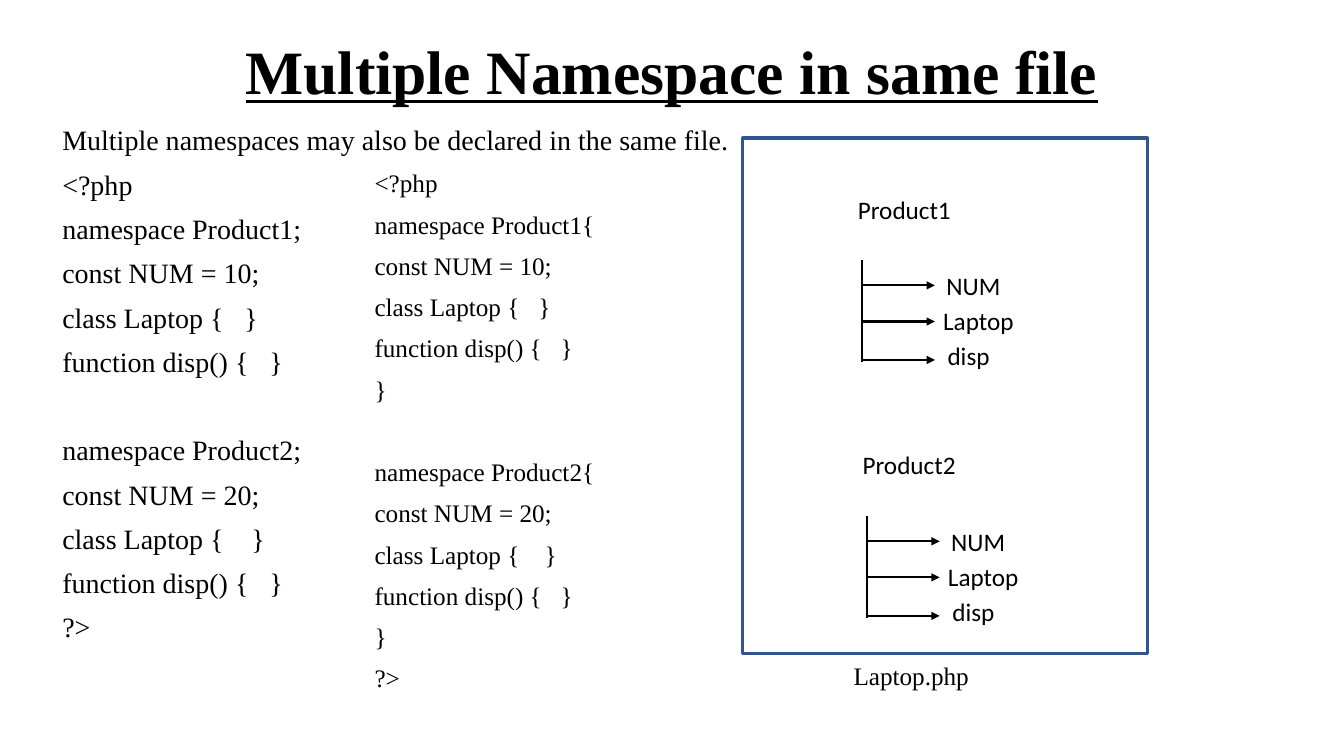
from lxml.etree import SubElement
from pptx import Presentation
from pptx.dml.color import RGBColor
from pptx.enum.shapes import MSO_CONNECTOR as Connector, MSO_SHAPE as Preset
from pptx.enum.text import MSO_ANCHOR as Anchor, PP_ALIGN as Align
from pptx.oxml.ns import qn
from pptx.util import Cm, Pt

SERIF = "Times New Roman"
SANS = "Calibri"
BLACK = "000000"
FRAME_BLUE = "325491"

PLAIN_CODE = [
    ["<?php", "namespace Product1;", "const NUM = 10;", "class Laptop {   }",
     "function disp() {   }"],
    ["namespace Product2;", "const NUM = 20;", "class Laptop {    }",
     "function disp() {   }", "?>"],
]
BRACED_CODE = [
    ["<?php", "namespace Product1{", "const NUM = 10;", "class Laptop {   }",
     "function disp() {   }", "}"],
    ["namespace Product2{", "const NUM = 20;", "class Laptop {    }",
     "function disp() {   }", "}", "?>"],
]
MEMBERS = [
    ("NUM", 0.64, 1.88, 0.13, 1.88),
    ("Laptop", 1.55, 1.80, 1.03, 2.31),
    ("disp", 2.52, 1.91, 1.91, 1.57),
]


def color(hex_value):
    return RGBColor.from_string(hex_value)


def format_font(font, size, name):
    font.size = Pt(size)
    font.name = name
    font.color.rgb = color(BLACK)


def add_box(slide, left, top, width, height, wrap):
    box = slide.shapes.add_textbox(Cm(left), Cm(top), Cm(width), Cm(height))
    box.text_frame.word_wrap = wrap
    return box.text_frame


def add_label(slide, text, left, top, width, size=18, name=SANS):
    frame = add_box(slide, left, top, width, 1.02, False)
    frame.text = text
    format_font(frame.paragraphs[0].runs[0].font, size, name)


def add_title(slide, text):
    frame = add_box(slide, 2.33, 0.05, 29.21, 3.68, True)
    frame.vertical_anchor = Anchor.MIDDLE
    frame.text = text
    heading = frame.paragraphs[0]
    heading.alignment = Align.CENTER
    heading.line_spacing = 0.9
    font = heading.runs[0].font
    format_font(font, 44, SERIF)
    font.bold = True
    font.underline = True


def add_code(slide, blocks, left, height, size, block_gap):
    frame = add_box(slide, left, 4.19, 7.44, height, True)
    frame.text = "\n".join(line for block in blocks for line in block)
    for index, line in enumerate(frame.paragraphs):
        line.line_spacing = 0.9
        line.space_before = Pt(10 if index else 0)
        format_font(line.runs[0].font, size, SERIF)
    frame.paragraphs[len(blocks[0])].space_before = Pt(block_gap)


def add_file_frame(slide):
    frame = slide.shapes.add_shape(
        Preset.RECTANGLE, Cm(18.72), Cm(3.48), Cm(10.19), Cm(12.98))
    frame.shadow.inherit = False
    frame.fill.background()
    frame.line.color.rgb = color(FRAME_BLUE)
    frame.line.width = Pt(2.25)


def add_line(slide, x1, y1, x2, y2, arrow=False):
    line = slide.shapes.add_connector(
        Connector.STRAIGHT, Cm(x1), Cm(y1), Cm(x2), Cm(y2))
    line.line.color.rgb = color(BLACK)
    line.line.width = Pt(1.5)
    properties = line._element.spPr
    if arrow:
        SubElement(properties.find(qn("a:ln")), qn("a:tailEnd"), type="triangle")
    SubElement(properties, qn("a:effectLst"))


def add_namespace(slide, name, left, top):
    add_label(slide, name, left - 0.35, top - 1.79, 2.87)
    add_line(slide, left, top + 2.57, left, top)
    for member, arrow_y, label_x, label_y, width in MEMBERS:
        add_line(slide, left, top + arrow_y, left + 1.84, top + arrow_y, True)
        add_label(slide, member, left + label_x, top + label_y, width)


def main():
    deck = Presentation()
    deck.slide_width = Cm(33.87)
    deck.slide_height = Cm(19.05)
    slide = deck.slides.add_slide(deck.slide_layouts[6])

    add_title(slide, "Multiple Namespace in same file")
    add_label(slide, "Multiple namespaces may also be declared in the same file.",
              1.32, 2.97, 17.4, 20, SERIF)
    add_code(slide, PLAIN_CODE, 1.32, 12.98, 20, 41.6)
    add_code(slide, BRACED_CODE, 9.19, 14.3, 18, 39.5)

    add_file_frame(slide)
    add_namespace(slide, "Product1", 21.72, 6.55)
    add_namespace(slide, "Product2", 21.84, 13)
    add_label(slide, "Laptop.php", 21.26, 16.51, 3.45, name=SERIF)

    deck.save("out.pptx")


if __name__ == "__main__":
    main()
